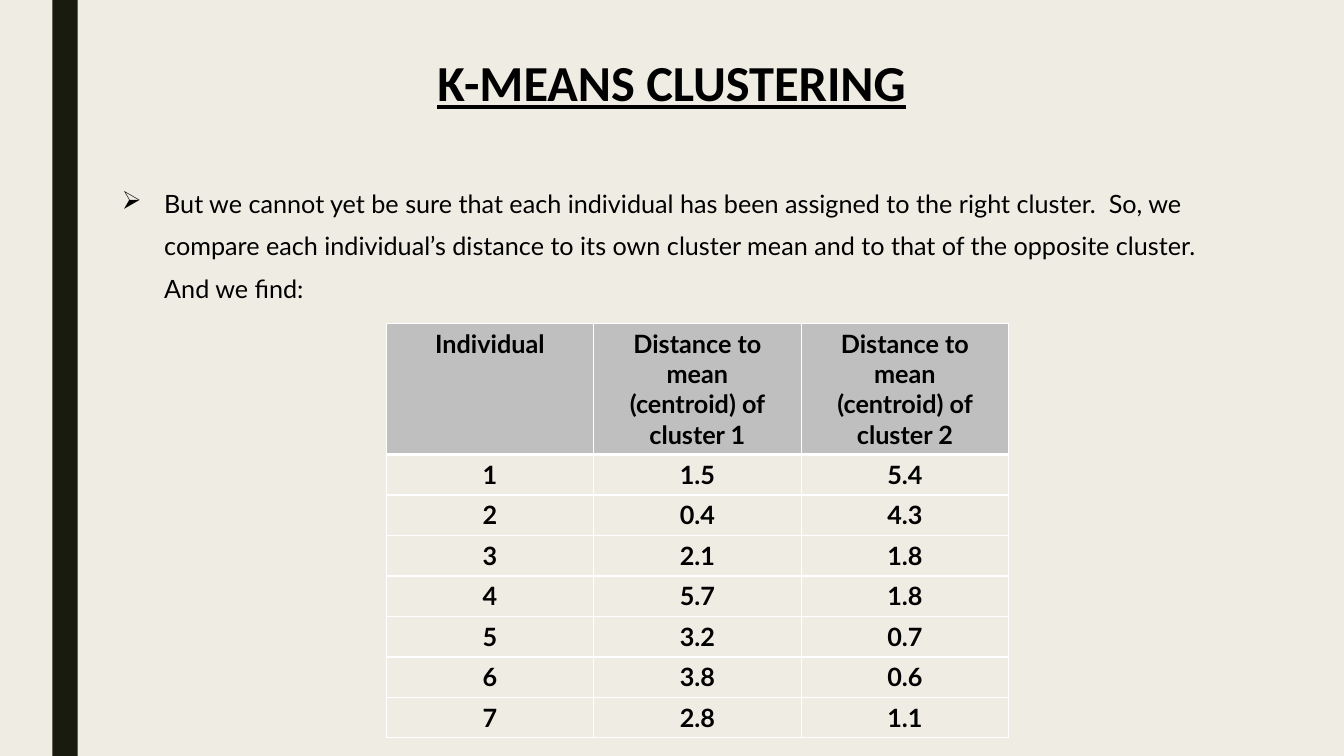
from pptx import Presentation
from pptx import util as u
from pptx.dml.color import RGBColor
from pptx.enum import shapes, text
from pptx.oxml import parse_xml
from pptx.oxml.ns import nsdecls

# Content
TITLE = "K-MEANS CLUSTERING"
BODY = ("But we cannot yet be sure that each individual has been assigned to the "
        "right cluster.  So, we compare each individual’s distance to its own cluster "
        "mean and to that of the opposite cluster. And we find:")
BULLET = "➢"
HEAD = ["Individual"] + [f"Distance to mean\v(centroid) of cluster {n}" for n in (1, 2)]
DIST = [(1.5, 5.4), (0.4, 4.3), (2.1, 1.8), (5.7, 1.8), (3.2, 0.7), (3.8, 0.6), (2.8, 1.1)]
ROWS = [HEAD] + [[str(v) for v in (i, *pair)] for i, pair in enumerate(DIST, 1)]


class Theme:
    back, bar, ink, head, line = "EFEDE3", "191B0E", "000000", "BFBFBF", "FFFFFF"
    title_font, font = "Calibri", "Lato"
    title_size, size = 36, 18
    thin, thick = 1, 3


# Sizes in cm
WIDE, HIGH = 33.87, 19.05
COL, HEAD_H, ROW_H = 5.23, 3.3, 1.02


def paint(fill, color):
    fill.solid()
    fill.fore_color.rgb = RGBColor.from_string(color)


def style(par, face, size, bold=False, line=False):
    for run in par.runs:
        font = run.font
        font.name, font.size = face, u.Pt(size)
        font.bold, font.underline = bold, line
        font.color.rgb = RGBColor.from_string(Theme.ink)


def add_text(slide, words, *box):
    frame = slide.shapes.add_textbox(*map(u.Cm, box)).text_frame
    frame.word_wrap = True
    frame.text = words
    return frame, frame.paragraphs[0]


def edge(cell, bottom):
    props = cell._tc.get_or_add_tcPr()
    for spot, side in enumerate("LRTB"):
        width = u.Pt(bottom if side == "B" else Theme.thin)
        props.insert(spot, parse_xml(
            f'<a:ln{side} {nsdecls("a")} w="{width}"><a:solidFill>'
            f'<a:srgbClr val="{Theme.line}"/></a:solidFill></a:ln{side}>'))


def main():
    deck = Presentation()
    deck.slide_width, deck.slide_height = u.Cm(WIDE), u.Cm(HIGH)
    slide = deck.slides.add_slide(deck.slide_layouts[6])
    paint(slide.background.fill, Theme.back)

    # Side bar
    bar = slide.shapes.add_shape(shapes.MSO_SHAPE.RECTANGLE,
                                 u.Cm(1.32), 0, u.Cm(0.64), u.Cm(HIGH))
    bar.shadow.inherit = False
    paint(bar.fill, Theme.bar)
    bar.line.fill.background()

    # Title
    frame, par = add_text(slide, TITLE, 2.54, 0, 28.78, 4.32)
    frame.vertical_anchor = text.MSO_ANCHOR.MIDDLE
    par.alignment, par.line_spacing = text.PP_ALIGN.CENTER, 0.9
    style(par, Theme.title_font, Theme.title_size, bold=True, line=True)

    # Bullet text
    frame, par = add_text(slide, BODY, 2.82, 4.32, 28.78, 13.41)
    par.line_spacing, par.space_before, par.space_after = 1.4, u.Pt(10), u.Pt(2)
    style(par, Theme.font, Theme.size)
    props = par._p.get_or_add_pPr()
    props.set("marL", str(u.Cm(1.07)))
    props.set("indent", str(-u.Cm(1.07)))
    props.append(parse_xml(f'<a:buChar {nsdecls("a")} char="{BULLET}"/>'))

    # Distance table
    cols = len(HEAD)
    table = slide.shapes.add_table(
        len(ROWS), cols, u.Cm(9.73), u.Cm(8.15),
        u.Cm(COL * cols), u.Cm(HEAD_H + ROW_H * len(DIST))).table
    table.first_row = table.horz_banding = False
    for col in table.columns:
        col.width = u.Cm(COL)
    for r, row in enumerate(ROWS):
        table.rows[r].height = u.Cm(ROW_H if r else HEAD_H)
        for c, words in enumerate(row):
            cell = table.cell(r, c)
            cell.text_frame.text = words
            par = cell.text_frame.paragraphs[0]
            par.alignment = text.PP_ALIGN.CENTER
            style(par, Theme.font, Theme.size, bold=True)
            if r:
                cell.fill.background()
            else:
                paint(cell.fill, Theme.head)
            edge(cell, Theme.thin if r else Theme.thick)

    deck.save("out.pptx")


if __name__ == "__main__":
    main()
